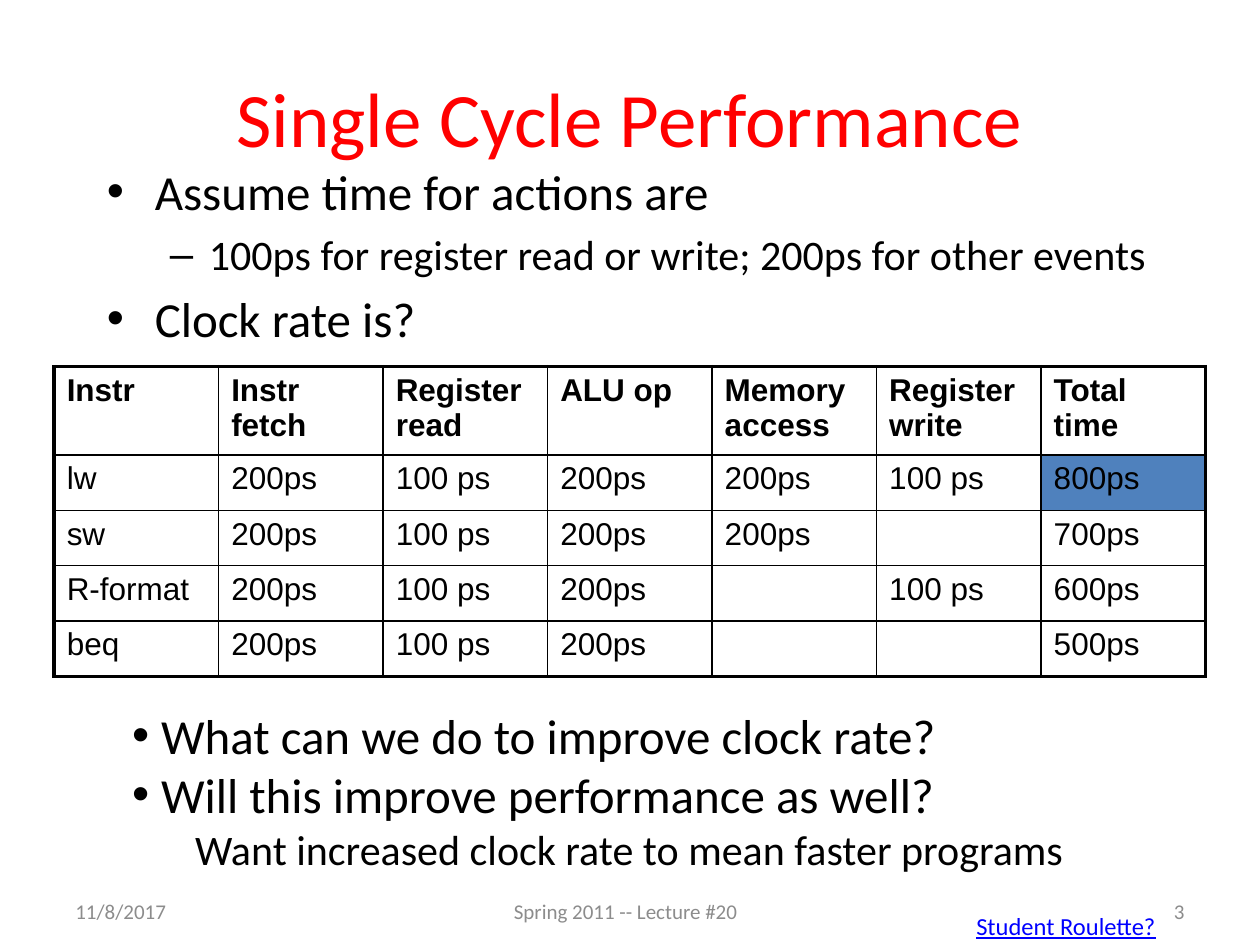
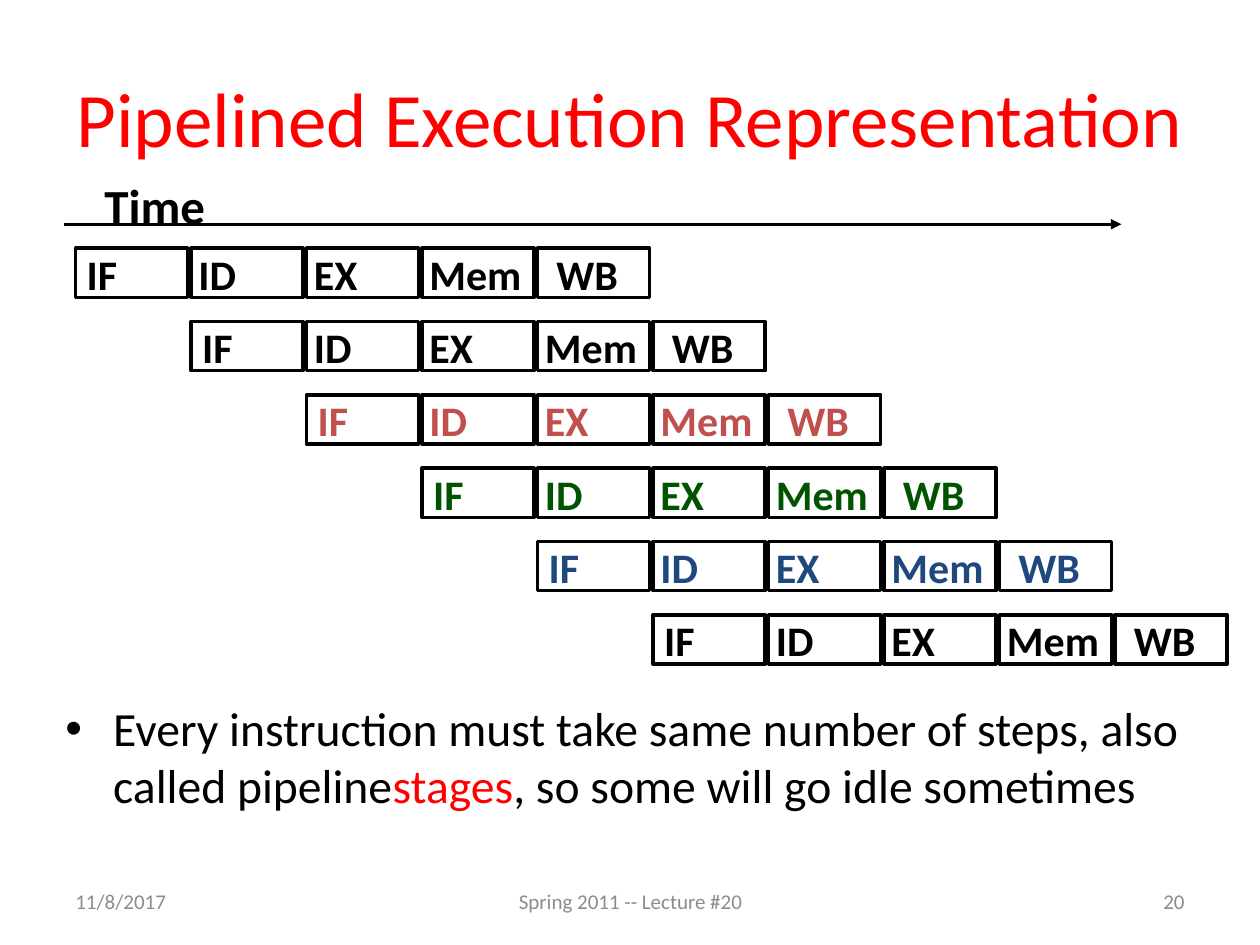
"""Build two lecture slides on single-cycle and pipelined processor timing."""
from lxml import etree
from pptx import Presentation
from pptx import util as u
from pptx.dml.color import RGBColor
from pptx.enum import shapes, text
from pptx.oxml import ns, parse_xml

BLACK, RED, GREY, BLUE = "000000", "FF0000", "8C8C8C", "4F81BD"
LEFT, CENTER, RIGHT = text.PP_ALIGN.LEFT, text.PP_ALIGN.CENTER, text.PP_ALIGN.RIGHT
FITTED = {"word_wrap": False, "auto_size": text.MSO_AUTO_SIZE.SHAPE_TO_FIT_TEXT}
WRAPPED = {"word_wrap": True, "auto_size": text.MSO_AUTO_SIZE.NONE}
MIDDLE = WRAPPED | {"vertical_anchor": text.MSO_ANCHOR.MIDDLE}


def write(paragraph, words, size, color=BLACK, before=0, bullet=None, indent=(0, 0), **font):
    """Append a run to a paragraph, with optional spacing, bullet and indent."""
    run = paragraph.add_run()
    run.text = words
    run.font.color.rgb = RGBColor.from_string(color)
    for name, value in ({"name": "Calibri", "size": u.Pt(size)} | font).items():
        setattr(run.font, name, value)
    layout = paragraph._p.get_or_add_pPr()
    if any(indent):
        layout.set("marL", str(u.Inches(indent[0])))
        layout.set("indent", str(u.Inches(indent[1])))
    if before:
        spacing = etree.SubElement(layout, ns.qn("a:spcBef"))
        etree.SubElement(spacing, ns.qn("a:spcPct"), val=str(before * 1000))
    if bullet:
        etree.SubElement(layout, ns.qn("a:buFont"), typeface="Arial")
        etree.SubElement(layout, ns.qn("a:buChar"), char=bullet)


def add_frame(slide, box, settings):
    """Add a text box and return its text frame."""
    frame = slide.shapes.add_textbox(*map(u.Inches, box)).text_frame
    for name, value in settings.items():
        setattr(frame, name, value)
    return frame


deck = Presentation()
deck.slide_width, deck.slide_height = u.Inches(10), u.Inches(7.5)

pages = []
for heading, number, footer_top, course_left, course_width, course_align in [
    ("Single Cycle Performance", "3", 7.03, 3.98, 2.33, LEFT),
    ("Pipelined Execution Representation", "20", 6.95, 3.42, 3.17, CENTER),
]:
    page = deck.slides.add_slide(deck.slide_layouts[5])
    pages.append(page)
    title = page.shapes.title
    for name, value in {"left": 0.5, "top": 0.3, "width": 9, "height": 1.25}.items():
        setattr(title, name, u.Inches(value))
    for name, value in MIDDLE.items():
        setattr(title.text_frame, name, value)
    title.text_frame.paragraphs[0].alignment = CENTER
    write(title.text_frame.paragraphs[0], heading, 44, RED)
    for words, left, width, align in [
        ("11/8/2017", 0.5, 2.33, LEFT),
        ("Spring 2011 -- Lecture #20", course_left, course_width, course_align),
        (number, 7.17, 2.33, RIGHT),
    ]:
        footer = add_frame(page, (left, footer_top, width, 0.4), MIDDLE).paragraphs[0]
        footer.alignment = align
        write(footer, words, 12, GREY)
performance, pipeline = pages

point = {"size": 28, "before": 20, "bullet": "•", "indent": (0.38, -0.38)}
detail = {"size": 24, "before": 20, "bullet": "–", "indent": (0.81, -0.31)}
question = {"size": 28, "bullet": "•", "indent": (0.23, -0.23)}
for box, lines in [
    ((0.75, 1.23, 9.05, 1.95), [
        ("Assume time for actions are", 0, point),
        ("100ps for register read or write; 200ps for other events", 1, detail),
        ("Clock rate is?", 0, point),
    ]),
    ((0.95, 5.55, 9.05, 1.95), [
        ("What can we do to improve clock rate?", 0, question),
        ("Will this improve performance as well?", 0, question),
        ("Want increased clock rate to mean faster programs", 1, {"size": 24, "indent": (0.5, 0)}),
    ]),
]:
    frame = add_frame(performance, box, WRAPPED)
    for index, (words, level, style) in enumerate(lines):
        line = frame.add_paragraph() if index else frame.paragraphs[0]
        line.level = level
        write(line, words, **style)

roulette = add_frame(performance, (7.65, 7.18, 1.64, 0.34), FITTED)
write(roulette.paragraphs[0], "Student Roulette?", 14, "0000FF", underline=True)

timings = [
    ["Instr", "Instr fetch", "Register read", "ALU op", "Memory access", "Register write", "Total time"],
    ["lw", "200ps", "100 ps", "200ps", "200ps", "100 ps", "800ps"],
    ["sw", "200ps", "100 ps", "200ps", "200ps", "", "700ps"],
    ["R-format", "200ps", "100 ps", "200ps", "", "100 ps", "600ps"],
    ["beq", "200ps", "100 ps", "200ps", "", "", "500ps"],
]
last_row, last_column = len(timings) - 1, len(timings[0]) - 1
grid = performance.shapes.add_table(
    last_row + 1, last_column + 1, *map(u.Inches, (0.43, 2.91, 9.14, 2.42))).table
grid.first_row = grid.horz_banding = False
for r, row in enumerate(timings):
    grid.rows[r].height = u.Inches(0.44 if r else 0.66)
    for c, words in enumerate(row):
        cell = grid.cell(r, c)
        borders = {
            "lnL": 1 if c else 2.25,
            "lnR": 2.25 if c == last_column else 1,
            "lnT": {0: 2.25, 1: 1.5}.get(r, 1),
            "lnB": {0: 1.5, last_row: 2.25}.get(r, 1),
        }
        for side, weight in borders.items():
            cell._tc.get_or_add_tcPr().append(parse_xml(
                f'<a:{side} {ns.nsdecls("a")} w="{u.Pt(weight)}"><a:solidFill>'
                f'<a:srgbClr val="{BLACK}"/></a:solidFill></a:{side}>'))
        if words == "800ps":
            cell.fill.solid()
            cell.fill.fore_color.rgb = RGBColor.from_string(BLUE)
        else:
            cell.fill.background()
        if words:
            write(cell.text_frame.paragraphs[0], words, 18, before=20, name="Arial", bold=r == 0)

summary = add_frame(pipeline, (0.42, 5.5, 9.42, 1.25), WRAPPED).paragraphs[0]
write(summary, "Every instruction must take same number of steps, also called pipeline",
      **point | {"size": 27.2})
write(summary, "stages", 27.2, RED)
write(summary, ", so some will go idle sometimes", 27.2)

stages = [("IF", -0.01, 0.44), ("ID", -0.04, 0.5), ("EX", -0.04, 0.55),
          ("Mem", -0.04, 0.96), ("WB", 0.05, 0.75)]
cycle, row_step = (8.85 - 0.6) / 9, (4.88 - 1.97) / 5
for instruction, color in enumerate([BLACK, BLACK, "C0504D", "005400", "1F497D", BLACK]):
    top = 1.97 + instruction * row_step
    lefts = [0.6 + (instruction + step) * cycle for step in range(len(stages))]
    for left in lefts:
        slot = pipeline.shapes.add_shape(
            shapes.MSO_SHAPE.RECTANGLE, *map(u.Inches, (left, top, 0.89, 0.39)))
        slot.shadow.inherit = False
        slot.fill.background()
        slot.line.color.rgb = RGBColor.from_string(BLACK)
        slot.line.width = u.Pt(2)
    for left, (stage, shift, width) in zip(lefts, stages):
        label = add_frame(pipeline, (left + shift, top - 0.05, width, 0.5), FITTED)
        write(label.paragraphs[0], stage, 24, color, bold=True)

time_axis = pipeline.shapes.add_connector(
    shapes.MSO_CONNECTOR.STRAIGHT, *map(u.Inches, (0.51, 1.78, 8.9, 1.78)))
time_axis.line.color.rgb = RGBColor.from_string(BLACK)
time_axis.line.width = u.Pt(2)
etree.SubElement(time_axis.line._get_or_add_ln(), ns.qn("a:tailEnd"), type="triangle")
etree.SubElement(time_axis._element.spPr, ns.qn("a:effectLst"))
time_label = add_frame(pipeline, (0.73, 1.34, 1.11, 0.56), FITTED)
write(time_label.paragraphs[0], "Time", 28, bold=True)

deck.save("out.pptx")
